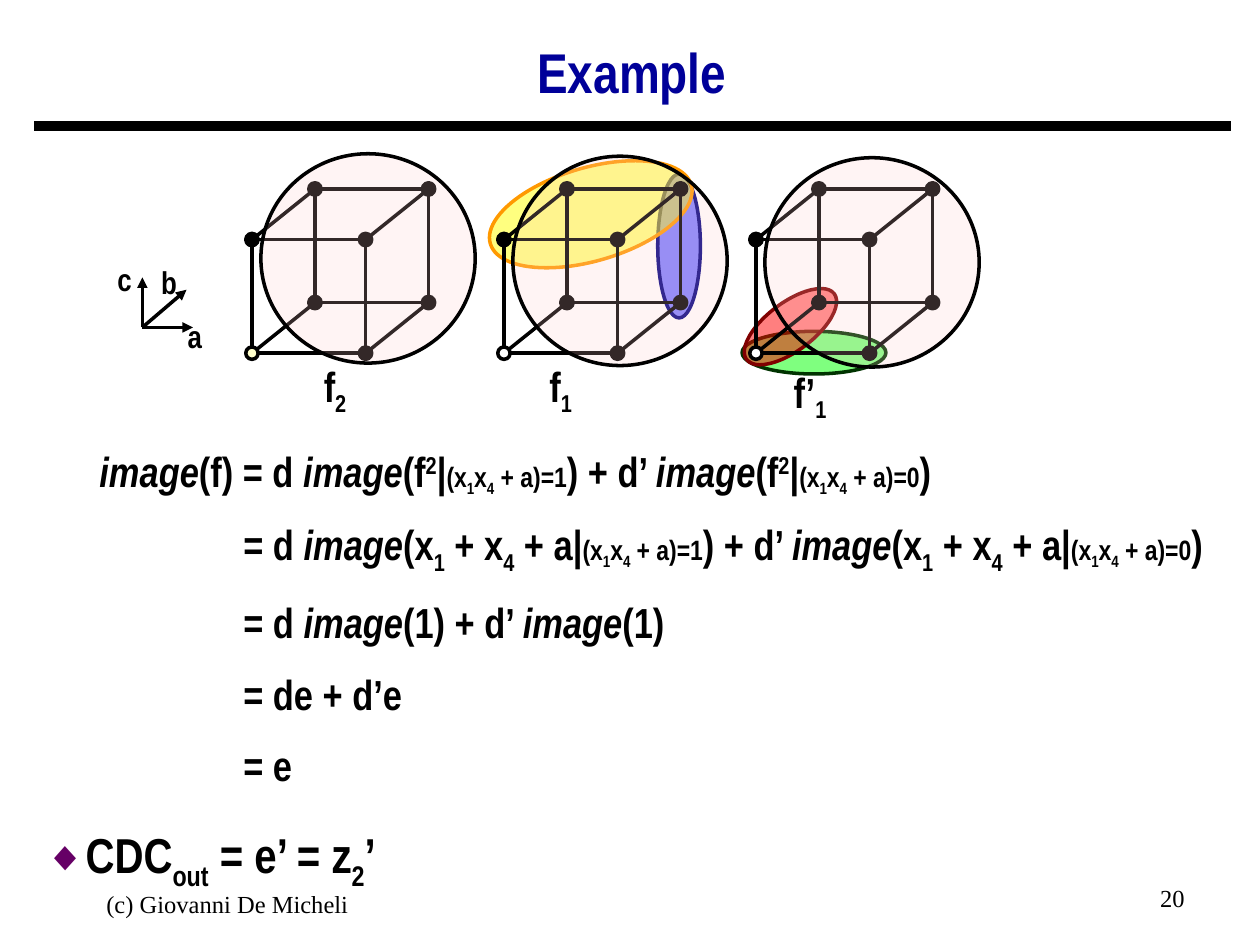
import pptx
import pptx.util
from pptx.dml.color import RGBColor
from pptx.enum.shapes import MSO_CONNECTOR, MSO_SHAPE
from pptx.enum.text import MSO_ANCHOR, MSO_AUTO_SIZE, PP_ALIGN
from pptx.oxml.ns import qn
from pptx.util import Cm
from lxml import etree

COLORS = {
    "black": "000000", "white": "FFFFFF", "cream": "FFFFCC", "title": "000099",
    "bullet": "660066", "pink": "FFCCCC", "blue": "0000FF", "navy": "000080",
    "yellow": "FFFF00", "orange": "FF9900", "green": "00FF00",
    "dark_green": "003300", "red": "FF0000", "maroon": "800000",
}
NARROW = "Arial Narrow"
SERIF = "Times New Roman"
BASELINES = {"sub": "-25000", "sup": "30000"}
STEP, SIDE, DOT = 5.08, 2.29, 0.25
CUBE_X, CUBE_Y = 5.08, 4.83
DEPTH_X, DEPTH_Y = 1.27, -1.02


def rgb(name):
    return RGBColor.from_string(COLORS[name])


def add_run(p, text, size, style="", color="black", font=NARROW, bold=True):
    r = p.add_run()
    r.text = text
    f = r.font
    f.size, f.name, f.bold = pptx.util.Pt(size), font, bold
    f.italic = "italic" in style
    f.color.rgb = rgb(color)
    for key, value in BASELINES.items():
        if key in style:
            r._r.get_or_add_rPr().set("baseline", value)


def place(sp, left, top, width, height):
    sp.left, sp.top, sp.width, sp.height = Cm(left), Cm(top), Cm(width), Cm(height)


def add_label(shapes, box, runs, size, align=PP_ALIGN.CENTER, wrap=False, **font):
    sp = shapes.add_textbox(*map(Cm, box))
    tf = sp.text_frame
    tf.word_wrap = wrap
    p = tf.paragraphs[0]
    p.alignment = align
    for text, style in runs:
        add_run(p, text, size, style, **font)


def add_line(shapes, start, end, width=2, arrow=False):
    c = shapes.add_connector(MSO_CONNECTOR.STRAIGHT, *map(Cm, (*start, *end)))
    c.line.color.rgb = rgb("black")
    c.line.width = pptx.util.Pt(width)
    if arrow:
        etree.SubElement(c.line._get_or_add_ln(), qn("a:tailEnd"), type="triangle")
    etree.SubElement(c._element.spPr, qn("a:effectLst"))


def add_outline(shapes, kind, box, fill=None, line="black", alpha=None, rotation=0):
    sp = shapes.add_shape(kind, *map(Cm, box))
    sp.shadow.inherit = False
    sp.rotation = rotation
    sp.line.color.rgb = rgb(line)
    sp.line.width = pptx.util.Pt(2)
    if fill is None:
        sp.fill.background()
        return
    sp.fill.solid()
    sp.fill.fore_color.rgb = rgb(fill)
    if alpha is not None:
        color = sp._element.spPr.find(qn("a:solidFill"))[0]
        etree.SubElement(color, qn("a:alpha"), val=str(alpha * 1000))


def add_cube(s, x, y, origin_fill):
    shapes = s.shapes.add_group_shape().shapes
    corners = [(x + i * SIDE, y + j * SIDE) for i in (0, 1) for j in (0, 1)]
    back = [(cx + DEPTH_X, cy + DEPTH_Y) for cx, cy in corners]
    for left, top in (corners[0], back[0]):
        add_outline(shapes, MSO_SHAPE.RECTANGLE, (left, top, SIDE, SIDE))
    for start, end in zip(corners, back):
        add_line(shapes, start, end)
    for cx, cy in corners + back:
        fill = origin_fill if (cx, cy) == corners[1] else "black"
        box = (cx - DOT / 2, cy - DOT / 2, DOT, DOT)
        add_outline(shapes, MSO_SHAPE.OVAL, box, fill)


def add_axes(s):
    shapes = s.shapes.add_group_shape().shapes
    for end in ((3.89, 6.6), (2.87, 5.59), (3.76, 5.84)):
        add_line(shapes, (2.87, 6.6), end, arrow=True)
    for name, left, top in (("a", 3.53, 6.27), ("b", 3, 5.18), ("c", 2.11, 5.11)):
        add_label(shapes, (left, top, 0.8, 1.02), [(name, "")], 18)


def add_title(s):
    sp = s.shapes.title
    place(sp, 0.66, 0.56, 24.16, 1.9)
    tf = sp.text_frame
    tf.auto_size = MSO_AUTO_SIZE.NONE
    tf.vertical_anchor = MSO_ANCHOR.MIDDLE
    p = tf.paragraphs[0]
    p.alignment = PP_ALIGN.CENTER
    p.line_spacing = 0.9
    add_run(p, "Example", 32, color="title")


def condition(value):
    return [("(x", "small"), ("1", "small sub"), ("x", "small"),
            ("4", "small sub"), (f" + a)={value}", "small"), (")", "")]


def cofactor(function, value):
    return [("image", "italic"), ("(", ""), *function, ("|", ""), *condition(value)]


def expansion(function):
    return [("= d ", ""), *cofactor(function, 1), (" + d’ ", ""), *cofactor(function, 0)]


def set_indent(p, left, first):
    pPr = p._p.get_or_add_pPr()
    pPr.set("marL", str(Cm(left)))
    pPr.set("indent", str(Cm(first)))
    return pPr


def add_equation(p, runs, left, first, before):
    p.level = 1
    p.line_spacing = 1.1
    p.space_before = pptx.util.Pt(before)
    etree.SubElement(set_indent(p, left, first), qn("a:buNone"))
    for text, style in runs:
        add_run(p, text, 16 if "small" in style else 24, style)


def add_conclusion(p, runs):
    p.line_spacing = 1.25
    p.space_before = pptx.util.Pt(10.5)
    pPr = set_indent(p, 0.79, -0.79)
    color = etree.SubElement(pPr, qn("a:buClr"))
    etree.SubElement(color, qn("a:srgbClr"), val=COLORS["bullet"])
    etree.SubElement(pPr, qn("a:buSzPct"), val="85000")
    etree.SubElement(pPr, qn("a:buChar"), char="◆")
    for text, style in runs:
        add_run(p, text, 28, style)


def add_body(s):
    sp = s.placeholders[1]
    place(sp, 0.64, 8.74, 24.16, 9.73)
    tf = sp.text_frame
    tf.auto_size = MSO_AUTO_SIZE.NONE
    f2 = [("f", ""), ("2", "sup")]
    total = [("x", ""), ("1", "sub"), (" + x", ""), ("4", "sub"), (" + a", "")]
    first = [("image", "italic"), ("(f) ", ""), *expansion(f2)]
    add_equation(tf.paragraphs[0], first, 1.75, -0.64, 0)
    steps = [
        expansion(total),
        [("= d ", ""), ("image", "italic"), ("(1) + d’ ", ""), ("image", "italic"), ("(1)", "")],
        [("= de + d’e", "")],
        [("= e", "")],
    ]
    for runs in steps:
        add_equation(tf.add_paragraph(), runs, 4.01, 0, 9)
    add_conclusion(tf.add_paragraph(), [
        ("CDC", ""), ("out", "sub"), (" = e’ = z", ""), ("2", "sub"), ("’", "")])


def main():
    prs = pptx.Presentation()
    prs.slide_width, prs.slide_height = Cm(25.4), Cm(19.05)
    s = prs.slides.add_slide(prs.slide_layouts[1])
    add_title(s)
    add_body(s)
    add_line(s.shapes, (0.69, 2.54), (24.82, 2.54), width=6)

    for box, fill, line, rotation in (
        ((13.26, 3.51, 0.86, 2.9), "blue", "navy", 0),
        ((9.8, 3.38, 4.22, 1.88), "yellow", "orange", 343.7),
        ((14.96, 6.68, 2.9, 0.86), "green", "dark_green", 0),
        ((14.83, 6.1, 2.21, 0.97), "red", "maroon", 323.1),
    ):
        add_outline(s.shapes, MSO_SHAPE.OVAL, box, fill, line, 50, rotation)

    add_axes(s)
    for i, fill in enumerate(("cream", "white", "white")):
        add_cube(s, CUBE_X + i * STEP, CUBE_Y, fill)
    for name, index, box in (
        ("f", "2", (6.27, 7.14, 0.97, 1.42)),
        ("f", "1", (10.82, 7.14, 0.97, 1.42)),
        ("f’", "1", (15.11, 7.26, 2.44, 1.42)),
    ):
        add_label(s.shapes, box, [(name, ""), (index, "sub")], 24)
    for i, top in enumerate((3.1, 3.15, 3.18)):
        box = (5.26 + i * STEP, top, 4.32, 4.22)
        add_outline(s.shapes, MSO_SHAPE.OVAL, box, "pink", alpha=20)

    for text, box, align in (
        ("(c) Giovanni De Micheli", (0.56, 17.8, 8.05, 1.25), PP_ALIGN.CENTER),
        ("20", (18.21, 17.67, 5.92, 1.32), PP_ALIGN.RIGHT),
    ):
        add_label(s.shapes, box, [(text, "")], 14, align, True, font=SERIF, bold=False)
    prs.save("out.pptx")


if __name__ == "__main__":
    main()
